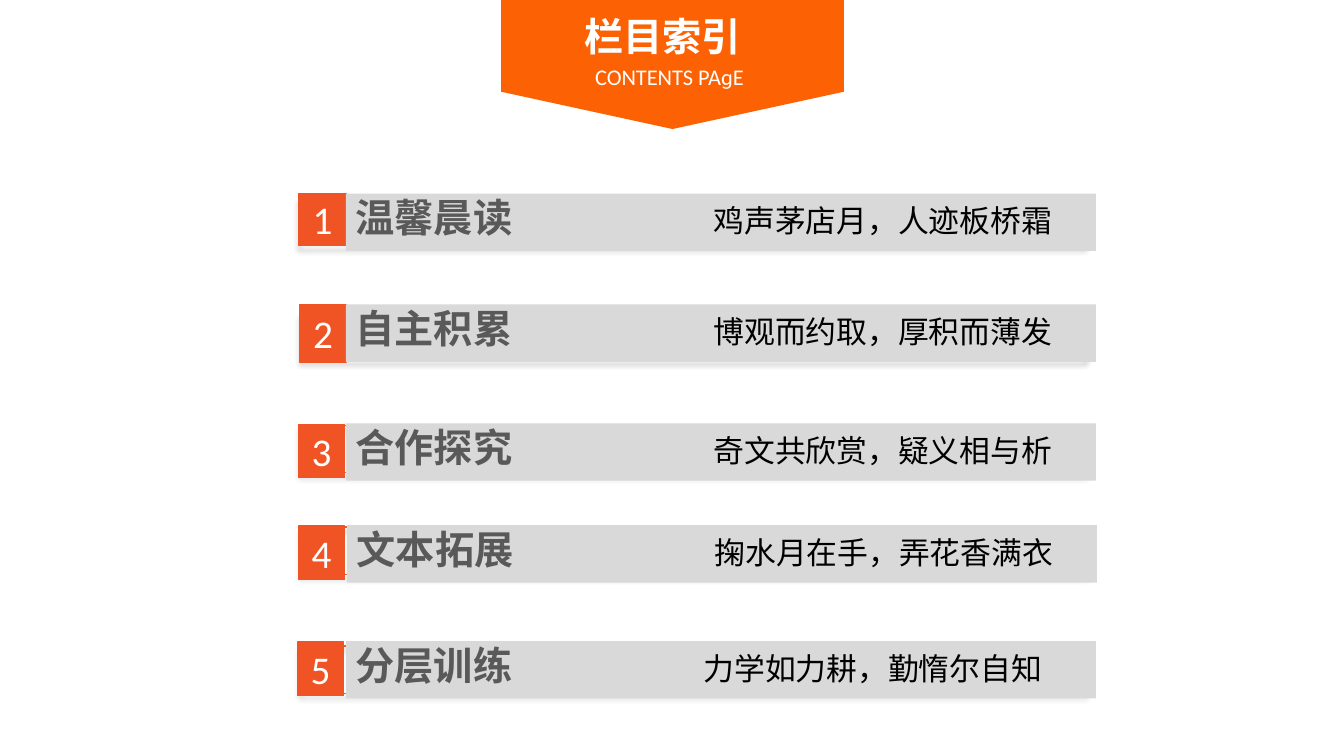
"""Build the contents slide: an orange banner over five numbered section bars."""
import pptx
import pptx.dml.color
import pptx.enum.shapes
import pptx.enum.text
import pptx.oxml
import pptx.oxml.ns
import pptx.util

Inches = pptx.util.Inches
Pt = pptx.util.Pt
CENTER = pptx.enum.text.PP_ALIGN.CENTER
DRAWING = pptx.oxml.ns.nsdecls("a")
CJK = "Noto Sans CJK SC"


def paint(color_format, color):
    color_format.rgb = pptx.dml.color.RGBColor.from_string(color)


def write(paragraph, text, color, **formats):
    run = paragraph.add_run()
    run.text = text
    for name, value in formats.items():
        setattr(run.font, name, value)
    paint(run.font.color, color)
    run.font._element.append(pptx.oxml.parse_xml(
        f'<a:ea {DRAWING} typeface="{formats["name"]}"/>'))


presentation = pptx.Presentation()
presentation.slide_width = Inches(13.33)
presentation.slide_height = Inches(7.5)
slide = presentation.slides.add_slide(presentation.slide_layouts[6])
shapes = slide.shapes
RECTANGLE = pptx.enum.shapes.MSO_SHAPE.RECTANGLE

sections = [
    ("温馨晨读", "鸡声茅店月，人迹板桥霜", 3.55,
     (2.96, 1.97, 7.79, 0.46), (2.96, 1.92, 0.48, 0.51), (3.43, 1.92, 7.44, 0.57)),
    ("自主积累", "博观而约取，厚积而薄发", 3.55,
     (2.97, 3.12, 7.79, 0.44), (2.97, 3.02, 0.47, 0.57), (3.43, 3.02, 7.44, 0.57)),
    ("合作探究", "奇文共欣赏，疑义相与析", 3.55,
     (2.97, 4.22, 7.79, 0.47), (2.96, 4.21, 0.46, 0.53), (3.43, 4.2, 7.44, 0.57)),
    ("文本拓展", "掬水月在手，弄花香满衣", 3.55,
     (2.98, 5.23, 7.79, 0.47), (2.96, 5.22, 0.46, 0.53), (3.44, 5.21, 7.44, 0.57)),
    ("分层训练", "力学如力耕，勤惰尔自知", 3.45,
     (2.97, 6.41, 7.79, 0.47), (2.95, 6.37, 0.46, 0.53), (3.43, 6.36, 7.44, 0.57)),
]

for number, (title, motto, motto_tab, *boxes) in enumerate(sections, 1):
    track, badge, bar = [
        shapes.add_shape(RECTANGLE, *map(Inches, box)) for box in boxes]

    track.fill.background()
    track.shadow.inherit = False
    effects = track._element.spPr.find(pptx.oxml.ns.qn("a:effectLst"))
    effects.append(pptx.oxml.parse_xml(
        f'<a:outerShdw {DRAWING} blurRad="{Pt(4)}" dist="{Pt(3)}" dir="5400000" '
        'rotWithShape="0"><a:srgbClr val="000000"><a:alpha val="40000"/>'
        '</a:srgbClr></a:outerShdw>'))

    for part, color in ((badge, "F05425"), (bar, "D9D9D9")):
        part.shadow.inherit = False
        part.fill.solid()
        paint(part.fill.fore_color, color)
        part.text_frame.margin_top = part.text_frame.margin_bottom = 0
    for part in (track, badge):
        part.line.width = Pt(1)
        paint(part.line.color, "F05425")
    bar.line.fill.background()

    badge.text_frame.vertical_anchor = pptx.enum.text.MSO_ANCHOR.MIDDLE
    numeral = badge.text_frame.paragraphs[0]
    numeral.alignment = CENTER
    write(numeral, str(number), "FFFFFF", name="Calibri", size=Pt(28))

    bar.text_frame.vertical_anchor = pptx.enum.text.MSO_ANCHOR.TOP
    entry = bar.text_frame.paragraphs[0]
    entry.alignment = pptx.enum.text.PP_ALIGN.LEFT
    entry._p.get_or_add_pPr().append(pptx.oxml.parse_xml(
        f'<a:tabLst {DRAWING}><a:tab pos="{Inches(motto_tab)}" algn="l"/></a:tabLst>'))
    write(entry, title + "\t", "595959", name=CJK, size=Pt(28), bold=True)
    write(entry, motto, "000000", name=CJK, size=Pt(22), bold=False)

outline = shapes.build_freeform(Inches(4.97), 0)
outline.add_line_segments(
    [(Inches(x), Inches(y)) for x, y in
     ((8.37, 0), (8.37, 0.91), (6.67, 1.28), (4.97, 0.91))], close=True)
banner = outline.convert_to_shape()
banner.shadow.inherit = False
banner.fill.solid()
paint(banner.fill.fore_color, "FC6204")
banner.line.fill.background()

heading = shapes.add_textbox(Inches(4.87), Inches(0.07), Inches(3.4), Inches(0.93)).text_frame
heading.word_wrap = True
heading.margin_top = heading.margin_bottom = 0
chinese, english = heading.paragraphs[0], heading.add_paragraph()
for line in (chinese, english):
    line.alignment = CENTER
    line.line_spacing = 1.12
english._p.get_or_add_pPr().set("marL", str(Inches(0.14)))
write(chinese, "栏目索引", "FFFFFF", name=CJK, size=Pt(28), bold=True)
write(english, "CONTENTS PAɡE", "FFFFFF", name="Calibri", size=Pt(16), bold=False)

presentation.save("out.pptx")
